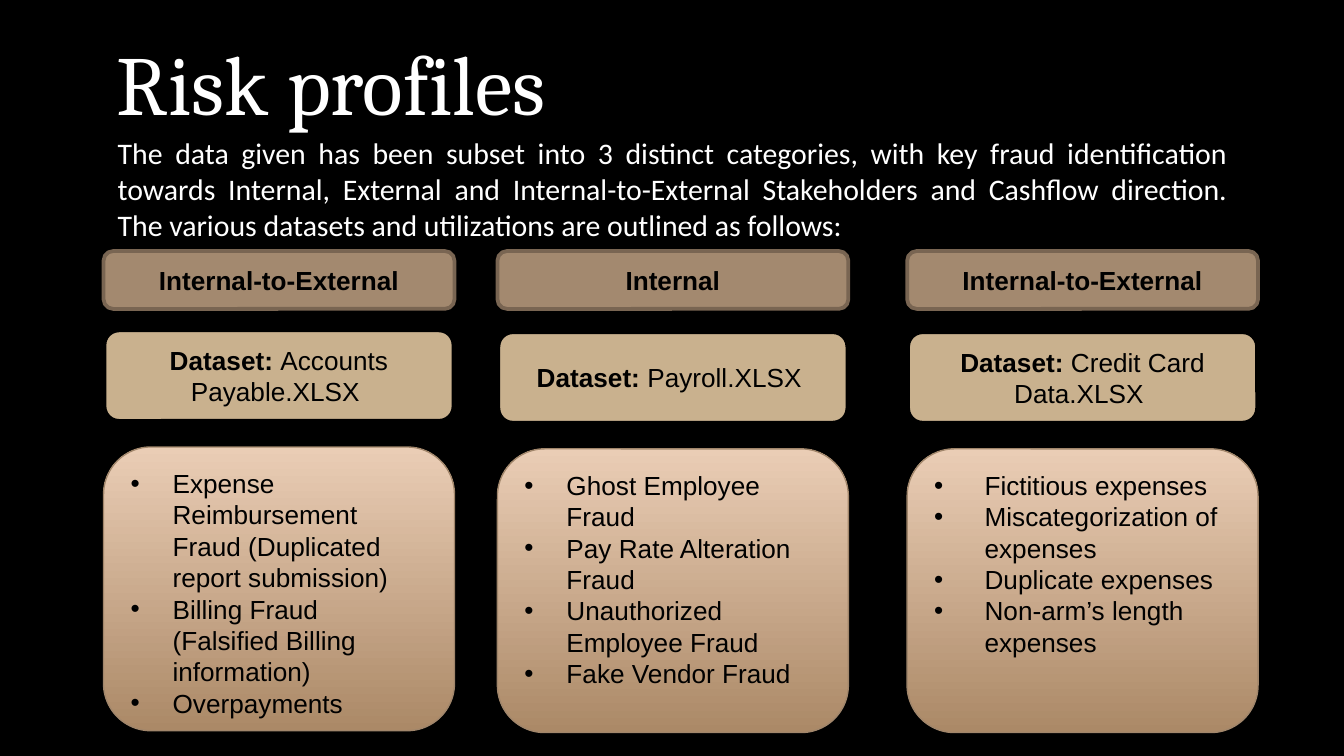
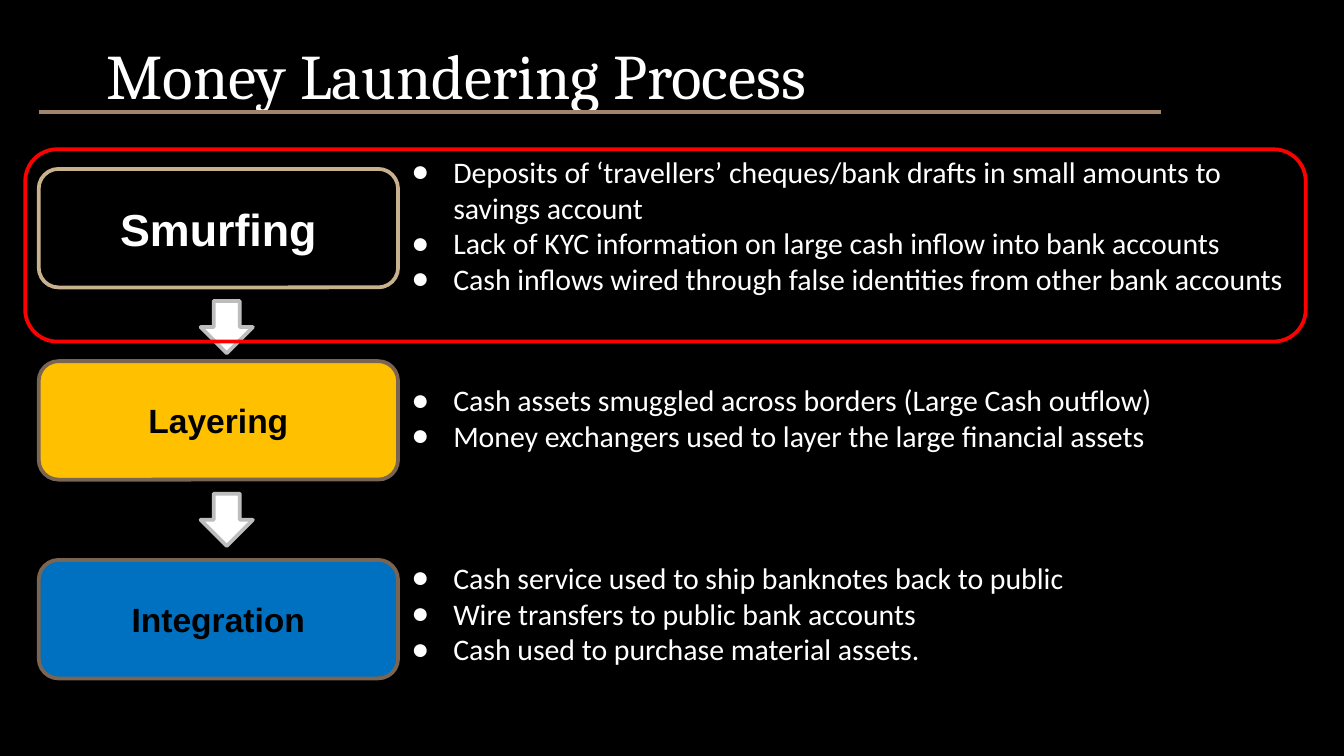
from dataclasses import dataclass

from lxml import etree
from pptx import Presentation
from pptx.dml.color import RGBColor
from pptx.enum.shapes import MSO_CONNECTOR as CONN, MSO_SHAPE as SHAPE
from pptx.enum.text import MSO_ANCHOR as ANCHOR, PP_ALIGN as ALIGN
from pptx.oxml.ns import qn
from pptx.util import Pt


@dataclass(frozen=True)
class Theme:
    black: str = "000000"
    white: str = "FFFFFF"
    brown: str = "A3896F"
    brown_edge: str = "796552"
    tan: str = "C9B18E"
    rule: str = "A1866B"
    grad_bottom: str = "AB8967"
    grad_top: str = "EACDB5"
    amber: str = "FFC000"
    blue: str = "0070C0"
    red: str = "FF0000"
    grey: str = "BDBDBD"
    title_font: str = "Cambria"
    text_font: str = "Calibri"
    box_font: str = "Arial"
    title_size: float = 45
    small_title_size: float = 34
    text_size: float = 16
    box_size: float = 14
    step_size: float = 18
    lead_step_size: float = 24


T = Theme()
BULLET_INDENT = 22.5
TEXT_INSET = 7.2

# Risk columns: left, drop of the lower boxes, bullet indent, heading, dataset, risks
RISK_COLUMNS = [
    (55.5, 0, BULLET_INDENT, "Internal-to-External", "Accounts Payable.XLSX ",
     ["Expense Reimbursement Fraud (Duplicated report submission)",
      "Billing Fraud (Falsified Billing information)",
      "Overpayments"]),
    (266.5, 1, BULLET_INDENT, "Internal", "Payroll.XLSX ",
     ["Ghost Employee Fraud", "Pay Rate Alteration Fraud",
      "Unauthorized Employee Fraud", "Fake Vendor Fraud"]),
    (486, 1, 27, "Internal-to-External", "Credit Card Data.XLSX ",
     ["Fictitious expenses", "Miscategorization of expenses",
      "Duplicate expenses", "Non-arm’s length expenses"]),
]

# Process steps: name, box top, fill, line, font colour, size, text top, text height, points
STEPS = [
    ("Smurfing", 90.5, T.black, T.tan, T.white, T.lead_step_size, 75, 103,
     ["Deposits of ‘travellers’ cheques/bank drafts in small amounts to savings account",
      "Lack of KYC information on large cash inflow into bank accounts",
      "Cash inflows wired through false identities from other bank accounts"]),
    ("Layering", 193.5, T.amber, T.brown_edge, T.black, T.step_size, 197.5, 54.5,
     ["Cash assets smuggled across borders (Large Cash outflow)",
      "Money exchangers used to layer the large financial assets"]),
    ("Integration", 300, T.blue, T.brown_edge, T.black, T.step_size, 292.5, 54.5,
     ["Cash service used to ship banknotes back to public",
      "Wire transfers to public bank accounts",
      "Cash used to purchase material assets."]),
]


def rgb(color):
    return RGBColor.from_string(color)


def set_indent(p, left, first=0):
    pPr = p._p.get_or_add_pPr()
    pPr.set("marL", str(Pt(left)))
    pPr.set("indent", str(Pt(first)))
    return pPr


def add_bullet(p, char, color, indent):
    pPr = set_indent(p, indent, -indent)
    clr = etree.SubElement(pPr, qn("a:buClr"))
    etree.SubElement(clr, qn("a:srgbClr")).set("val", color)
    etree.SubElement(pPr, qn("a:buFont")).set("typeface", T.box_font)
    etree.SubElement(pPr, qn("a:buChar")).set("char", char)


def write(sp, paragraphs, *, font=T.box_font, size=T.box_size, color=T.black,
          align=ALIGN.LEFT, anchor=ANCHOR.TOP, inset=None, bullet=None, indent=0):
    """Fill sp with paragraphs, each a list of (text, bold) runs."""
    tf = sp.text_frame
    tf.word_wrap = True
    tf.vertical_anchor = anchor
    if inset is not None:
        tf.margin_left = tf.margin_right = Pt(inset)
        tf.margin_top = tf.margin_bottom = Pt(inset)
    for i, runs in enumerate(paragraphs):
        p = tf.add_paragraph() if i else tf.paragraphs[0]
        p.alignment = align
        if bullet:
            add_bullet(p, bullet, color, indent)
        elif indent:
            set_indent(p, indent)
        for text, bold in runs:
            r = p.add_run()
            r.text = text
            r.font.name, r.font.size, r.font.bold = font, Pt(size), bold
            r.font.color.rgb = rgb(color)


def plain(texts):
    return [[(text, False)] for text in texts]


def add_text(s, box, paragraphs, **fmt):
    sp = s.shapes.add_textbox(*map(Pt, box))
    write(sp, paragraphs, inset=TEXT_INSET, **fmt)


def add_title(s, box, text, size):
    add_text(s, box, plain([text]), font=T.title_font, size=size,
             color=T.white, anchor=ANCHOR.BOTTOM)


def add_box(s, box, fill, line, width, kind=SHAPE.ROUNDED_RECTANGLE):
    """Add a preset shape; fill is a colour, a (bottom, top) pair or None."""
    sp = s.shapes.add_shape(kind, *map(Pt, box))
    sp.shadow.inherit = False
    if fill is None:
        sp.fill.background()
    elif isinstance(fill, tuple):
        sp.fill.gradient()
        sp.fill.gradient_angle = 90
        for stop, color in zip(sp.fill.gradient_stops, fill):
            stop.color.rgb = rgb(color)
    else:
        sp.fill.solid()
        sp.fill.fore_color.rgb = rgb(fill)
    sp.line.color.rgb = rgb(line)
    sp.line.width = Pt(width)
    return sp


def add_rule(s, x1, x2, y):
    c = s.shapes.add_connector(CONN.STRAIGHT, Pt(x1), Pt(y), Pt(x2), Pt(y))
    c.line.color.rgb = rgb(T.rule)
    c.line.width = Pt(2.25)
    etree.SubElement(c._element.spPr, qn("a:effectLst"))


def add_slide(prs):
    s = prs.slides.add_slide(prs.slide_layouts[6])
    s.background.fill.solid()
    s.background.fill.fore_color.rgb = rgb(T.black)
    return s


def add_risk_column(s, left, drop, indent, heading, dataset, risks):
    width = 188
    centred = dict(align=ALIGN.CENTER, anchor=ANCHOR.MIDDLE)

    sp = add_box(s, (left, 134.5, width, 31), T.brown, T.brown_edge, 2)
    write(sp, [[(heading, True)]], **centred)

    sp = add_box(s, (left, 176.5 + drop, width, 49.5), T.tan, T.black, 3)
    write(sp, [[("Dataset: ", True), (dataset, False)]], **centred)

    sp = add_box(s, (left, 239.5 + drop, width, 152),
                 (T.grad_bottom, T.grad_top), T.rule, 0.75)
    write(sp, plain(risks), bullet="•", indent=indent)


def risk_profiles(prs):
    s = add_slide(prs)
    add_title(s, (55.5, 17.5, 304.5, 60.5), "Risk profiles", T.title_size)
    intro = ("The data given has been subset into 3 distinct categories, with key fraud "
             "identification towards Internal, External and Internal-to-External "
             "Stakeholders and Cashflow direction. The various datasets and utilizations "
             "are outlined as follows:")
    add_text(s, (20, 65, 645, 65.5), plain([intro]), font=T.text_font,
             size=T.text_size, color=T.white, align=ALIGN.JUSTIFY, indent=36)
    for column in RISK_COLUMNS:
        add_risk_column(s, *column)


def add_step(s, name, top, fill, line, color, size, text_top, text_height, points):
    sp = add_box(s, (20.75, top, 192.5, 63.5), fill, line, 2)
    write(sp, [[(name, True)]], size=size, color=color,
          align=ALIGN.CENTER, anchor=ANCHOR.MIDDLE)
    add_text(s, (213.25, text_top, 486.5, text_height), plain(points),
             font=T.text_font, size=T.text_size, color=T.white,
             bullet="●", indent=BULLET_INDENT)


def laundering_process(prs):
    s = add_slide(prs)
    add_title(s, (50, 6, 612.5, 61.5), "Money Laundering Process", T.small_title_size)

    # Arrows between the steps, then the frame around the first one
    for top in (161.25, 264.5):
        add_box(s, (107.5, top, 28, 28), T.white, T.grey, 2, SHAPE.DOWN_ARROW)
    add_box(s, (13.5, 80, 686, 103), None, T.red, 2)

    for step in STEPS:
        add_step(s, *step)
    add_rule(s, 20.75, 622, 60)


def main():
    prs = Presentation()
    prs.slide_width, prs.slide_height = Pt(720), Pt(405)
    risk_profiles(prs)
    laundering_process(prs)
    prs.save("out.pptx")


if __name__ == "__main__":
    main()
